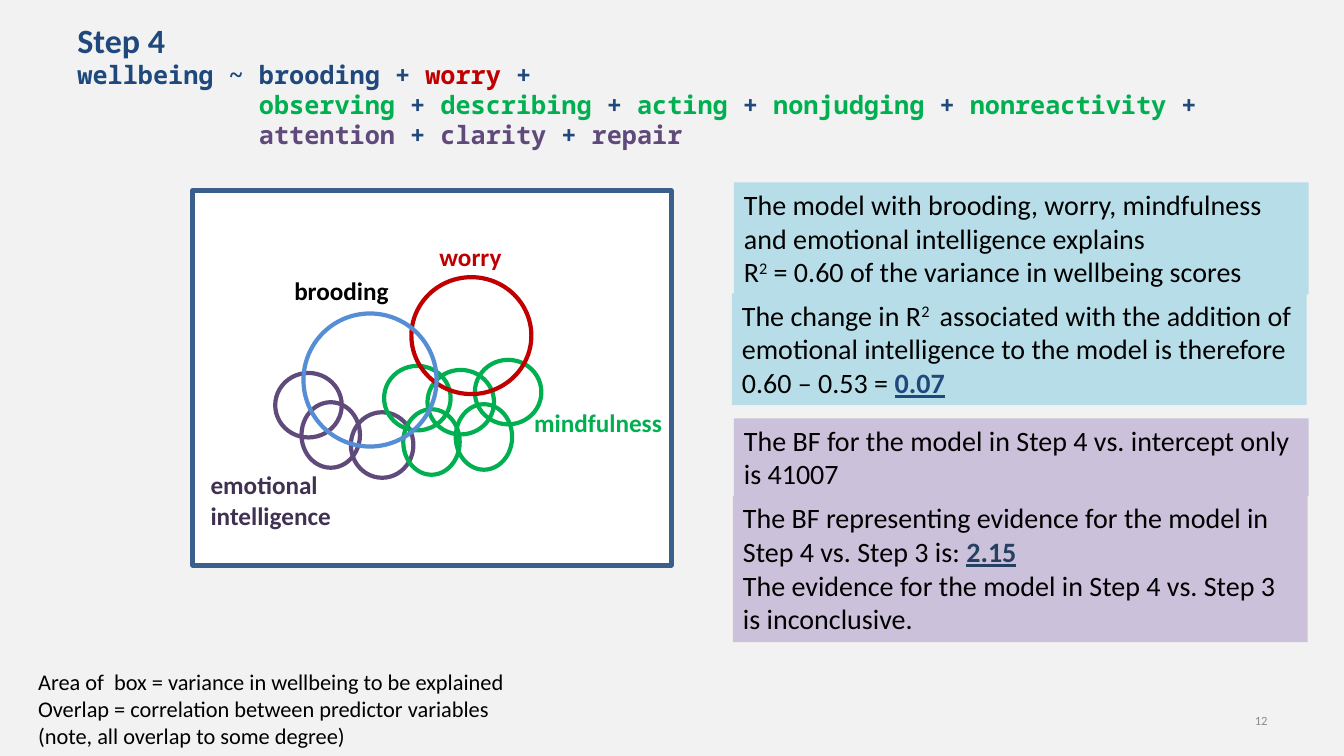
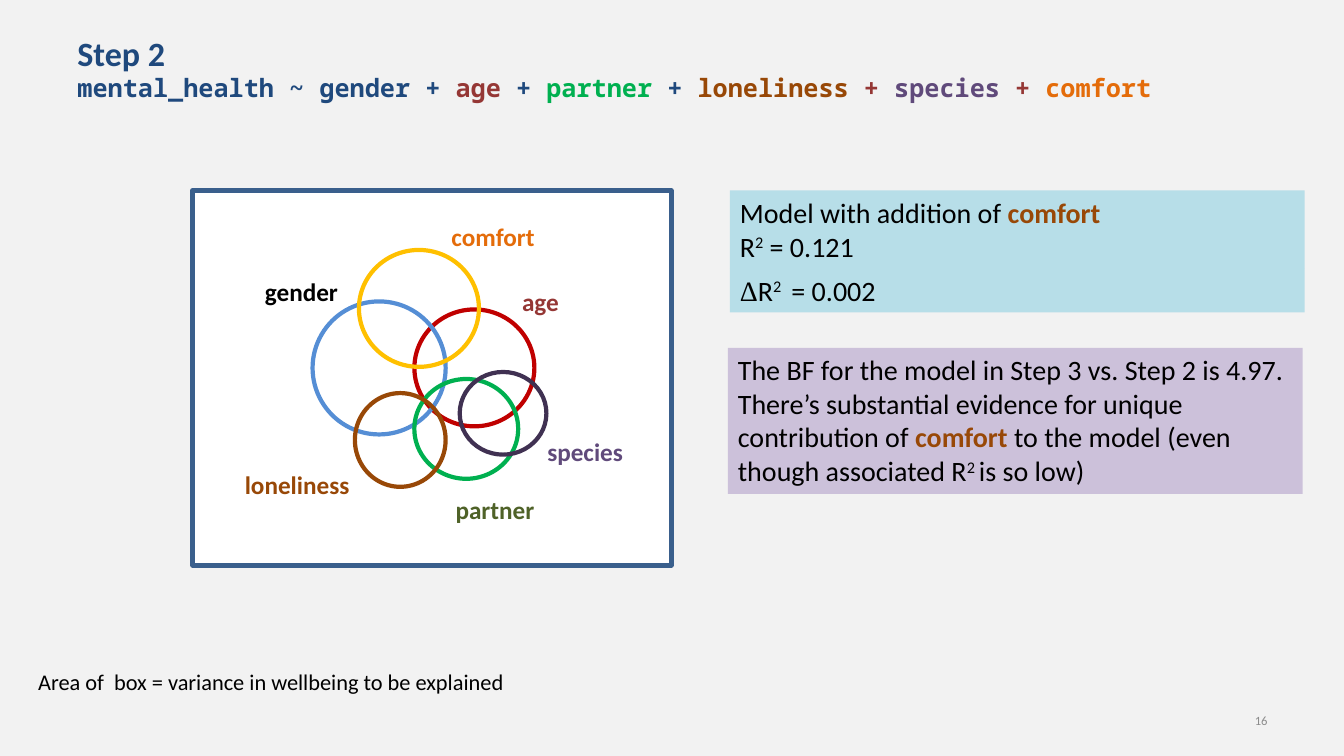
import pptx
import pptx.util
import pptx.dml.color
import pptx.enum.shapes
import pptx.enum.text

PX = 9144  # EMU in one px, 100 px to the inch
COLORS = {
    "page": "F2F2F2", "white": "FFFFFF", "black": "000000", "gray": "8C8C8C",
    "frame": "3A5F8C", "navy": "1F497D", "deep_blue": "254061", "blue": "558ED5",
    "red": "C00000", "wine": "953735", "green": "00B050", "olive": "4F6228",
    "purple": "604A7B", "plum": "403152", "brown": "984807", "orange": "E46C0A",
    "yellow": "FFC000", "r2_panel": "B7DEE8", "bf_panel": "CCC1DA",
}
BODY, MONO, GREEK = "Calibri", "Noto Sans Mono", "Times New Roman"
FRAME = (191, 189, 475, 372)
PANEL_W = 570
STEP_H, CODE_H, CODE_PITCH, CODE_INDENT = 41, 30, 21.4, 180
AREA_NOTE = "Area of  box = variance in wellbeing to be explained"

# A run is (text, colour, style); style letters: b bold, u underline, ^ superscript, g Greek font.
PLUS = (" + ", "navy")
SUP = ("2", "black", "^")
SUP_GAP = ("2 ", "black", "^")

SLIDES = [
    {
        "number": "12",
        "title_top": 14,
        "step": "Step 4",
        "formula": [
            [("wellbeing ~ brooding + ", "navy"), ("worry", "red"), (" +", "navy")],
            [("observing", "green"), PLUS, ("describing", "green"), PLUS, ("acting", "green"), PLUS,
             ("nonjudging", "green"), PLUS, ("nonreactivity", "green"), (" +", "navy")],
            [("attention", "purple"), PLUS, ("clarity", "purple"), PLUS, ("repair", "purple")],
        ],
        "circles": [
            ("purple", [(273, 370, 66, 64), (299, 399, 58, 65), (348, 409, 62, 65)]),
            ("green", [(424, 367, 66, 64), (381, 363, 66, 64), (471, 357, 66, 64),
                       (400, 406, 56, 65), (452, 401, 56, 65)]),
            ("red", [(408, 275, 119, 116)]),
            ("blue", [(301, 311, 132, 132)]),
        ],
        "labels": [
            ("emotional intelligence", "plum", (199, 461, 149, 71)),
            ("mindfulness", "green", (520, 399, 148, 40)),
            ("worry", "red", (426, 234, 82, 40)),
            ("brooding", "black", (282, 268, 115, 40)),
        ],
        "panels": [
            ("r2_panel", (728, 181, 111), [
                [("The model with brooding, worry, mindfulness and emotional intelligence explains",)],
                [("R",), SUP, (" = 0.60 of the variance in wellbeing scores",)]]),
            ("bf_panel", (728, 415, 77), [
                [("The BF for the model in Step 4 vs. intercept only is 41007",)]]),
            ("r2_panel", (726, 291, 111), [
                [("The change in R",), SUP_GAP,
                 (" associated with the addition of emotional intelligence to the model is therefore",)],
                [("0.60 – 0.53 = ",), ("0.07", "navy", "bu")]]),
            ("bf_panel", (727, 492, 145), [
                [("The BF representing evidence for the model in Step 4 vs. Step 3 is: ",),
                 ("2.15", "deep_blue", "bu")],
                [("The evidence for the model in Step 4 vs. Step 3 is inconclusive.",)]]),
        ],
        "notes": [AREA_NOTE, "Overlap = correlation between predictor variables",
                  "(note, all overlap to some degree)"],
    },
    {
        "number": "16",
        "title_top": 27,
        "step": "Step 2",
        "formula": [
            [("mental_health ~ gender + ", "navy"), ("age", "wine"), PLUS, ("partner", "green"), PLUS,
             ("loneliness", "brown"), (" + ", "wine"), ("species", "purple"), (" + ", "wine"),
             ("comfort", "orange")],
        ],
        "circles": [
            ("red", [(411, 307, 119, 116)]),
            ("blue", [(310, 299, 132, 132)]),
            ("green", [(411, 376, 103, 99)]),
            ("brown", [(352, 390, 90, 93)]),
            ("plum", [(456, 369, 86, 82)]),
            ("yellow", [(356, 248, 119, 116)]),
        ],
        "labels": [
            ("gender", "black", (253, 269, 93, 40)),
            ("age", "wine", (508, 279, 57, 40)),
            ("partner", "olive", (442, 485, 99, 40)),
            ("loneliness", "brown", (233, 461, 129, 40)),
            ("species", "purple", (533, 428, 96, 40)),
            ("comfort", "orange", (438, 215, 103, 40)),
        ],
        "panels": [
            ("bf_panel", (722, 345, 145), [
                [("The BF for the model in Step 3 vs. Step 2 is 4.97.",)],
                [("There’s substantial evidence for unique contribution of ",), ("comfort", "brown", "b"),
                 (" to the model (even though associated R",), SUP_GAP, ("is so low)",)]]),
            ("r2_panel", (724, 266, 44), [
                [("Δ", "black", "g"), ("R",), SUP_GAP, (" = 0.002",)]]),
            ("r2_panel", (724, 189, 77), [
                [("Model with addition of ",), ("comfort", "brown", "b")],
                [("R",), SUP, (" = 0.121",)]]),
        ],
        "notes": [AREA_NOTE],
    },
]


def rgb(name):
    return pptx.dml.color.RGBColor.from_string(COLORS[name])


def emu(box):
    return [v * PX for v in box]


def add_run(p, size, text, color="black", style="", font=BODY):
    r = p.add_run()
    r.text = text
    r.font.size = pptx.util.Pt(size)
    r.font.name = GREEK if "g" in style else font
    r.font.bold = "b" in style
    r.font.underline = "u" in style
    r.font.color.rgb = rgb(color)
    if "^" in style:
        r.font._element.set("baseline", "30000")


def fill_text(sp, paragraphs, size, wrap=True):
    """Write paragraphs, each a list of runs, left aligned from the top."""
    tf = sp.text_frame
    tf.word_wrap = wrap
    tf.vertical_anchor = pptx.enum.text.MSO_ANCHOR.TOP
    for i, runs in enumerate(paragraphs):
        p = tf.add_paragraph() if i else tf.paragraphs[0]
        p.alignment = pptx.enum.text.PP_ALIGN.LEFT
        for run in runs:
            add_run(p, size, *run)
    return tf


def add_text(s, box, paragraphs, size, wrap=True):
    return fill_text(s.shapes.add_textbox(*emu(box)), paragraphs, size, wrap)


def add_shape(s, kind, box, fill=None, line=None):
    sp = s.shapes.add_shape(getattr(pptx.enum.shapes.MSO_SHAPE, kind), *emu(box))
    sp.shadow.inherit = False
    if fill:
        sp.fill.solid()
        sp.fill.fore_color.rgb = rgb(fill)
    else:
        sp.fill.background()
    if line:
        sp.line.color.rgb = rgb(line)
        sp.line.width = pptx.util.Pt(3)
    else:
        sp.line.fill.background()
    return sp


def add_title(s, top, step, formula):
    """Step name over a model formula whose later lines hang under the first predictor."""
    box = (67, top, 1200, STEP_H + CODE_H * len(formula) + 10)
    tf = add_text(s, box, [[(step, "navy", "b")]], 24.3)
    for i, runs in enumerate(formula):
        p = tf.add_paragraph()
        p.line_spacing = pptx.util.Pt(CODE_PITCH)
        if i:
            p._p.get_or_add_pPr().set("marL", str(CODE_INDENT * PX))
        for text, color in runs:
            add_run(p, 18, text, color, "b", MONO)


def add_number(s, number):
    tf = add_text(s, (956, 695, 311, 40), [[(number, "gray")]], 9)
    tf.vertical_anchor = pptx.enum.text.MSO_ANCHOR.MIDDLE
    tf.paragraphs[0].alignment = pptx.enum.text.PP_ALIGN.RIGHT


def build_slide(prs, data):
    s = prs.slides.add_slide(prs.slide_layouts[6])
    add_title(s, data["title_top"], data["step"], data["formula"])
    add_shape(s, "RECTANGLE", FRAME, "white", "frame")
    for color, boxes in data["circles"]:
        for box in boxes:
            add_shape(s, "OVAL", box, line=color)
    for text, color, box in data["labels"]:
        add_text(s, box, [[(text, color, "b")]], 18, wrap=" " in text)
    for fill, (left, top, height), paragraphs in data["panels"]:
        sp = add_shape(s, "RECTANGLE", (left, top, PANEL_W, height), fill)
        fill_text(sp, paragraphs, 20)
    notes = [[(note,)] for note in data["notes"]]
    add_text(s, (28, 658, 487, 10 + 27 * len(notes)), notes, 16, wrap=False)
    add_number(s, data["number"])


def main():
    prs = pptx.Presentation()
    prs.slide_width, prs.slide_height = emu((1333, 750))
    background = prs.slide_master.background.fill
    background.solid()
    background.fore_color.rgb = rgb("page")
    for data in SLIDES:
        build_slide(prs, data)
    prs.save("out.pptx")


if __name__ == "__main__":
    main()
